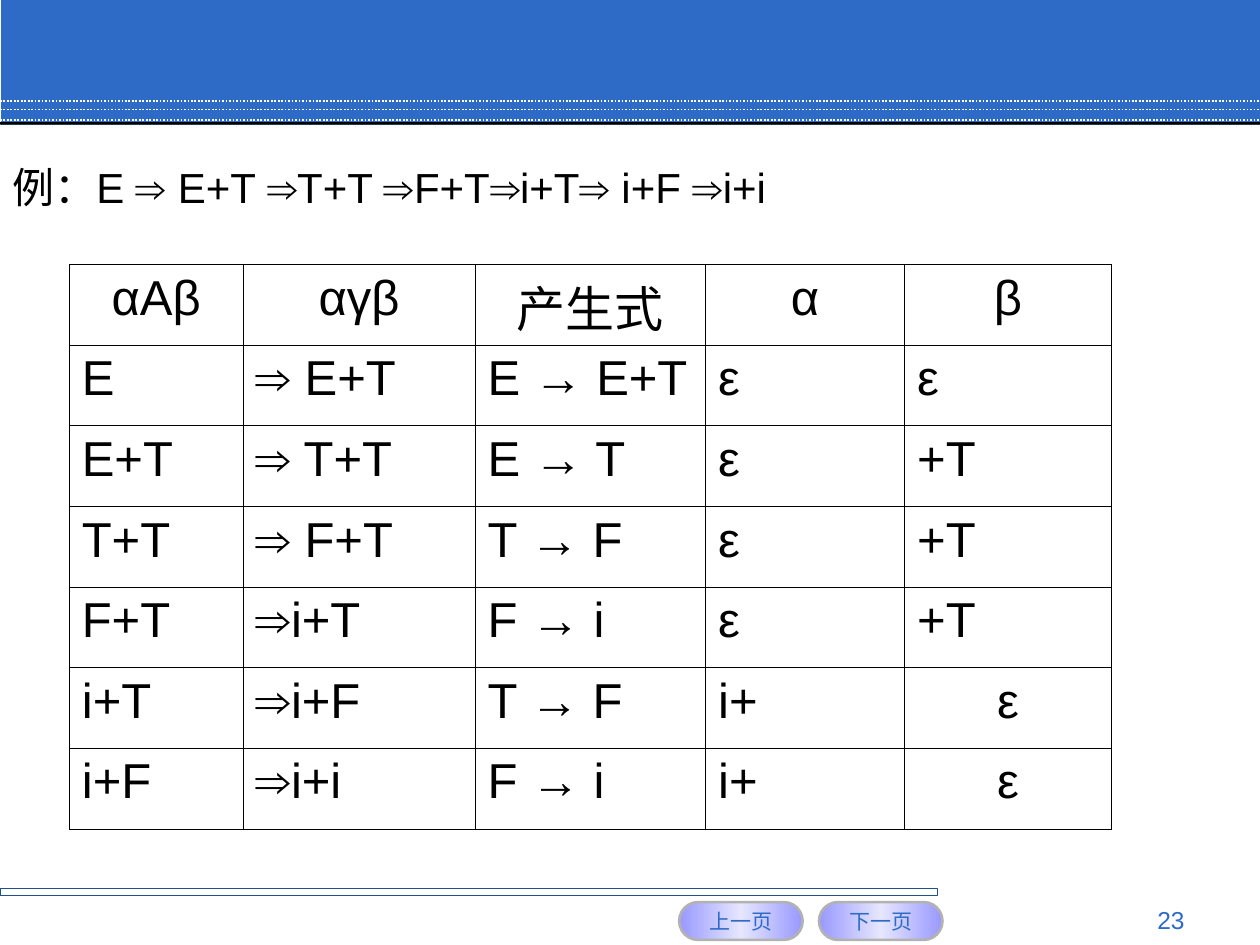
from copy import deepcopy
from dataclasses import dataclass
from typing import Optional

from lxml import etree
from pptx import Presentation
from pptx.dml.color import RGBColor
from pptx.enum import dml, shapes, text
from pptx.oxml import ns
from pptx.util import Inches, Pt

BLUE = RGBColor(0x2D, 0x6B, 0xC7)
NAVY = RGBColor(0x1D, 0x52, 0x8D)
LILAC = RGBColor(0x99, 0x99, 0xFF)
PALE = RGBColor(0xE6, 0xE6, 0xFF)
GREY = RGBColor(0xB2, 0xB2, 0xB2)
WHITE = RGBColor(0xFF, 0xFF, 0xFF)
BLACK = RGBColor(0, 0, 0)
FONT = "Arial"
LEFT, CENTER, RIGHT = text.PP_ALIGN.LEFT, text.PP_ALIGN.CENTER, text.PP_ALIGN.RIGHT
TOP, MIDDLE = text.MSO_ANCHOR.TOP, text.MSO_ANCHOR.MIDDLE


@dataclass
class Box:
    x: float
    y: float
    w: float
    h: float
    fill: Optional[RGBColor] = None
    line: Optional[RGBColor] = None
    weight: float = 0.75

    def lengths(self):
        return [Inches(v) for v in (self.x, self.y, self.w, self.h)]


@dataclass
class Label:
    words: str
    size: int
    color: RGBColor
    align: text.PP_ALIGN
    anchor: text.MSO_ANCHOR
    wrap: bool = True


BARS = [
    Box(0.01, 0, 9.99, 0.99, fill=BLUE),
    Box(0, 0.97, 10, 0.02, fill=BLACK),
    Box(0, 7.05, 7.44, 0.06, line=NAVY),
]
RULES = [0.8, 0.87, 0.95]
BUTTONS = [("上一页", 5.39), ("下一页", 6.5)]
COL_WIDTHS = [1.38, 1.84, 1.83, 1.58, 1.64]
ROW_HEIGHT = 0.64
ROWS = [
    ("αAβ", "αγβ", "产生式", "α", "β"),
    ("E", "⇒ E+T", "E → E+T", "ε", "ε"),
    ("E+T", "⇒ T+T", "E → T", "ε", "+T"),
    ("T+T", "⇒ F+T", "T → F", "ε", "+T"),
    ("F+T", "⇒i+T", "F → i", "ε", "+T"),
    ("i+T", "⇒i+F", "T → F", "i+", "ε"),
    ("i+F", "⇒i+i", "F → i", "i+", "ε"),
]


def format_run(r, size: int, color: RGBColor, bold: bool = False) -> None:
    r.font.name = FONT
    r.font.size = Pt(size)
    r.font.bold = bold
    r.font.color.rgb = color


def write(tf, label: Label) -> None:
    tf.text = label.words
    tf.word_wrap = label.wrap
    tf.vertical_anchor = label.anchor
    p = tf.paragraphs[0]
    p.alignment = label.align
    for r in p.runs:
        format_run(r, label.size, label.color)


def add_box(s, box: Box, kind=shapes.MSO_SHAPE.RECTANGLE):
    sp = s.shapes.add_shape(kind, *box.lengths())
    sp.shadow.inherit = False
    if box.fill is None:
        sp.fill.background()
    else:
        sp.fill.solid()
        sp.fill.fore_color.rgb = box.fill
    if box.line is None:
        sp.line.fill.background()
    else:
        sp.line.color.rgb = box.line
        sp.line.width = Pt(box.weight)
    return sp


def add_rule(s, y: float) -> None:
    cx = s.shapes.add_connector(
        shapes.MSO_CONNECTOR.STRAIGHT, Inches(0), Inches(y), Inches(10), Inches(y))
    cx.line.color.rgb = WHITE
    cx.line.width = Pt(1)
    cx.line.dash_style = dml.MSO_LINE.ROUND_DOT
    etree.SubElement(cx._element.spPr, ns.qn("a:effectLst"))


def add_button(s, words: str, x: float) -> None:
    box = Box(x, 7.16, 0.98, 0.3, line=GREY, weight=1.5)
    sp = add_box(s, box, shapes.MSO_SHAPE.ROUNDED_RECTANGLE)
    sp.adjustments[0] = 0.5
    sp.fill.gradient()
    sp.fill.gradient_angle = 0
    stop_list = sp._element.spPr.find(".//" + ns.qn("a:gsLst"))
    stop_list.append(deepcopy(stop_list[0]))
    for stop, position, color in zip(
            sp.fill.gradient_stops, (0, 0.5, 1), (LILAC, PALE, LILAC)):
        stop.position = position
        stop.color.rgb = color
    write(sp.text_frame, Label(words, 12, BLUE, CENTER, MIDDLE, wrap=False))


def add_label(s, box: Box, label: Label) -> None:
    write(s.shapes.add_textbox(*box.lengths()).text_frame, label)


def add_borders(cell) -> None:
    tc_pr = cell._tc.get_or_add_tcPr()
    for i, side in enumerate(("a:lnL", "a:lnR", "a:lnT", "a:lnB")):
        ln = etree.Element(ns.qn(side), w=str(int(Pt(0.45))))
        fill = etree.SubElement(ln, ns.qn("a:solidFill"))
        etree.SubElement(fill, ns.qn("a:srgbClr"), val=str(BLACK))
        tc_pr.insert(i, ln)


def fill_cell(cell, words: str, align: text.PP_ALIGN) -> None:
    cell.fill.background()
    add_borders(cell)
    p = cell.text_frame.paragraphs[0]
    p.alignment = align
    p_pr = p._p.get_or_add_pPr()
    p_pr.set("marL", str(Inches(0.38)))
    p_pr.set("indent", str(-Inches(0.38)))
    for part in filter(None, words.partition("→")):
        r = p.add_run()
        r.text = part
        format_run(r, 28, BLACK, bold=part == "→")


def add_derivation_table(s) -> None:
    box = Box(0.55, 2.1, sum(COL_WIDTHS), ROW_HEIGHT * len(ROWS))
    table = s.shapes.add_table(len(ROWS), len(COL_WIDTHS), *box.lengths()).table
    table.first_row = table.horz_banding = False
    for column, width in zip(table.columns, COL_WIDTHS):
        column.width = Inches(width)
    for i, row in enumerate(ROWS):
        table.rows[i].height = Inches(ROW_HEIGHT)
        for j, words in enumerate(row):
            centered = i == 0 or (j == 4 and i >= 5)
            fill_cell(table.cell(i, j), words, CENTER if centered else LEFT)


def main() -> None:
    prs = Presentation()
    prs.slide_width, prs.slide_height = Inches(10), Inches(7.5)
    s = prs.slides.add_slide(prs.slide_layouts[6])
    banner, *edges = BARS
    add_box(s, banner)
    for y in RULES:
        add_rule(s, y)
    for edge in edges:
        add_box(s, edge)
    for words, x in BUTTONS:
        add_button(s, words, x)
    add_label(s, Box(7.17, 7.13, 2.33, 0.27), Label("23", 14, BLUE, RIGHT, TOP))
    add_label(s, Box(0, 0.99, 10, 0.99), Label(
        "例：E ⇒ E+T ⇒T+T ⇒F+T⇒i+T⇒ i+F ⇒i+i", 24, BLACK, LEFT, MIDDLE))
    add_derivation_table(s)
    prs.save("out.pptx")


if __name__ == "__main__":
    main()
